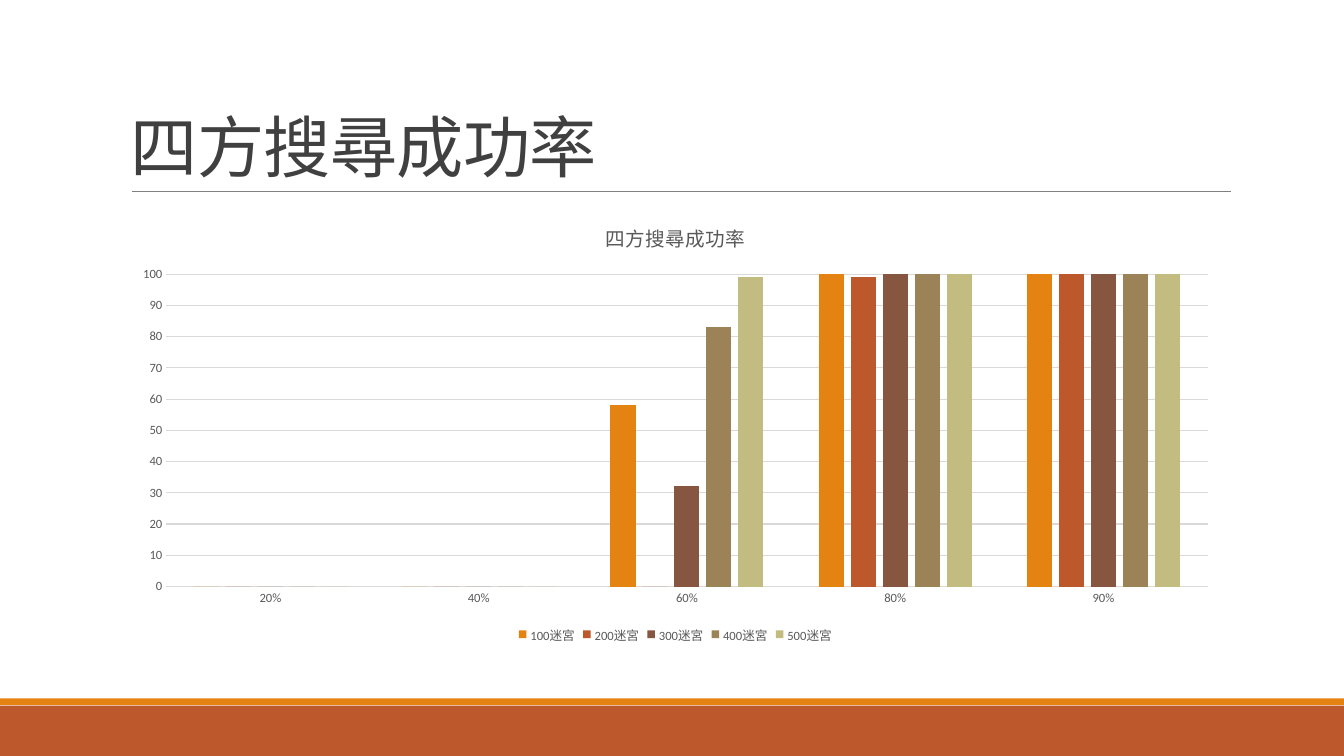
from lxml.etree import SubElement
from pptx import Presentation
from pptx.chart.data import CategoryChartData as ChartData
from pptx.dml.color import RGBColor
from pptx.enum.chart import XL_CHART_TYPE as Kind, XL_LEGEND_POSITION as Place, XL_TICK_MARK as Tick
from pptx.enum.shapes import MSO_CONNECTOR as Link, MSO_SHAPE as Form
from pptx.enum.text import MSO_ANCHOR as Anchor
from pptx.oxml.ns import qn
from pptx.util import Cm, Pt

WHITE = RGBColor(0xFF, 0xFF, 0xFF)
ORANGE = RGBColor(0xE4, 0x83, 0x12)
RUST = RGBColor(0xBD, 0x58, 0x2C)
BROWN = RGBColor(0x86, 0x56, 0x40)
TAN = RGBColor(0x9B, 0x83, 0x57)
OLIVE = RGBColor(0xC2, 0xBC, 0x80)
DARK = RGBColor(0x40, 0x40, 0x40)
GREY = RGBColor(0x59, 0x59, 0x59)
RULE = RGBColor(0x80, 0x80, 0x80)
GRID = RGBColor(0xD9, 0xD9, 0xD9)

WIDE, HIGH = 33.87, 19.05
LEFT, SPAN = 3.05, 27.94
HEAD = "四方搜尋成功率"
RATES = [0.2, 0.4, 0.6, 0.8, 0.9]
MAZES = [
    ("100迷宮", [0, 0, 58, 100, 100], ORANGE),
    ("200迷宮", [0, 0, 0, 99, 100], RUST),
    ("300迷宮", [0, 0, 32, 100, 100], BROWN),
    ("400迷宮", [0, 0, 83, 100, 100], TAN),
    ("500迷宮", [0, 0, 99, 100, 100], OLIVE),
]


class Page:
    def __init__(self, slide, face="Calibri"):
        self.slide = slide
        self.shapes = slide.shapes
        self.face = face
        fill = slide.background.fill
        fill.solid()
        fill.fore_color.rgb = WHITE

    def style(self, font, size, color):
        font.name = self.face
        font.size = Pt(size)
        font.bold = False
        font.color.rgb = color

    def stroke(self, line, color, width):
        line.color.rgb = color
        line.width = Pt(width)

    def band(self, top, height, color):
        """Draw a bar across the full slide width."""
        bar = self.shapes.add_shape(Form.RECTANGLE, 0, Cm(top), Cm(WIDE), Cm(height))
        bar.shadow.inherit = False
        bar.fill.solid()
        bar.fill.fore_color.rgb = color
        bar.line.fill.background()

    def rule(self, left, right, y):
        line = self.shapes.add_connector(Link.STRAIGHT, Cm(left), Cm(y), Cm(right), Cm(y))
        self.stroke(line.line, RULE, 0.5)
        SubElement(line._element.spPr, qn("a:effectLst"))

    def title(self, text, top, height):
        box = self.shapes.add_textbox(Cm(LEFT), Cm(top), Cm(SPAN), Cm(height))
        frame = box.text_frame
        frame.word_wrap = True
        frame.vertical_anchor = Anchor.BOTTOM
        para = frame.paragraphs[0]
        para.line_spacing = 0.85
        run = para.add_run()
        run.text = text
        self.style(run.font, 48, DARK)
        run.font._element.set("spc", "-50")

    def chart(self, text, top, height):
        data = ChartData(number_format="0")
        data.categories = RATES
        data.categories.number_format = "0%"
        for name, vals, _ in MAZES:
            data.add_series(name, vals)
        chart = self.shapes.add_chart(
            Kind.COLUMN_CLUSTERED, Cm(LEFT), Cm(top), Cm(SPAN), Cm(height), data
        ).chart
        chart.font.name = self.face
        chart.font.size = Pt(10)

        chart.has_title = True
        run = chart.chart_title.text_frame.paragraphs[0].add_run()
        run.text = text
        self.style(run.font, 14, GREY)
        chart.chart_title.include_in_layout = False

        chart.has_legend = True
        chart.legend.position = Place.BOTTOM
        chart.legend.include_in_layout = False
        self.style(chart.legend.font, 9, GREY)

        plot = chart.plots[0]
        plot.gap_width = 219
        plot.overlap = -27
        plot.vary_by_categories = False
        for series, (_, _, color) in zip(plot.series, MAZES):
            series.format.fill.solid()
            series.format.fill.fore_color.rgb = color
        self.axes(chart.category_axis, chart.value_axis)

    def axes(self, cat, val):
        for axis, form in ((cat, "0%"), (val, "0")):
            axis.major_tick_mark = axis.minor_tick_mark = Tick.NONE
            labels = axis.tick_labels
            self.style(labels.font, 9, GREY)
            labels.number_format = form
            labels.number_format_is_linked = False
        self.stroke(cat.format.line, GRID, 0.75)
        val.format.line.fill.background()
        val.minimum_scale, val.maximum_scale, val.major_unit = 0, 100, 10
        self.stroke(val.major_gridlines.format.line, GRID, 0.75)


def main():
    deck = Presentation()
    deck.slide_width, deck.slide_height = Cm(WIDE), Cm(HIGH)
    page = Page(deck.slides.add_slide(deck.slide_layouts[6]))
    page.band(17.78, 1.27, RUST)
    page.band(17.6, 0.17, ORANGE)
    page.rule(3.33, 31.01, 4.83)
    page.title(HEAD, 0.79, 4.04)
    page.chart(HEAD, 5.13, 11.18)
    deck.save("out.pptx")


if __name__ == "__main__":
    main()
